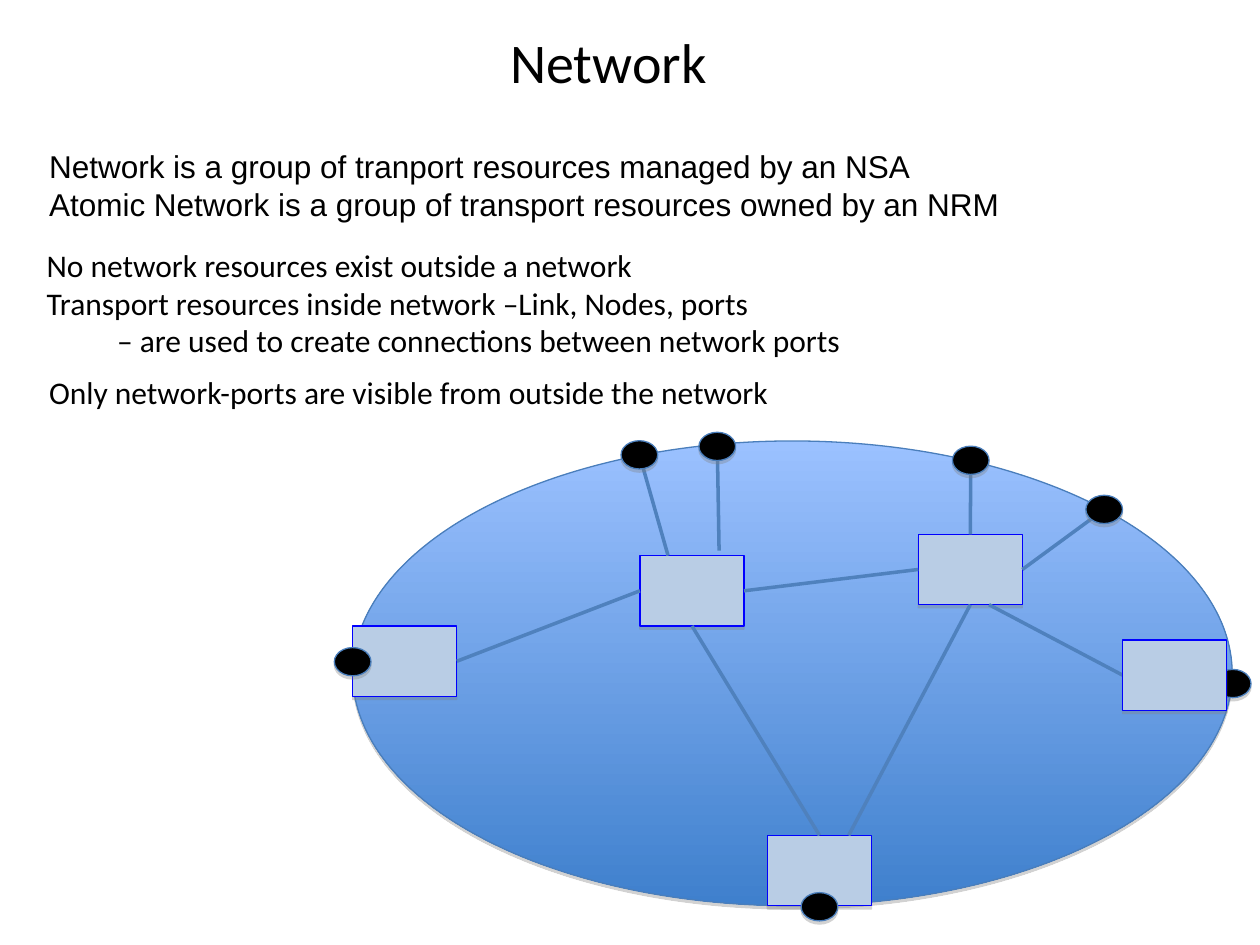
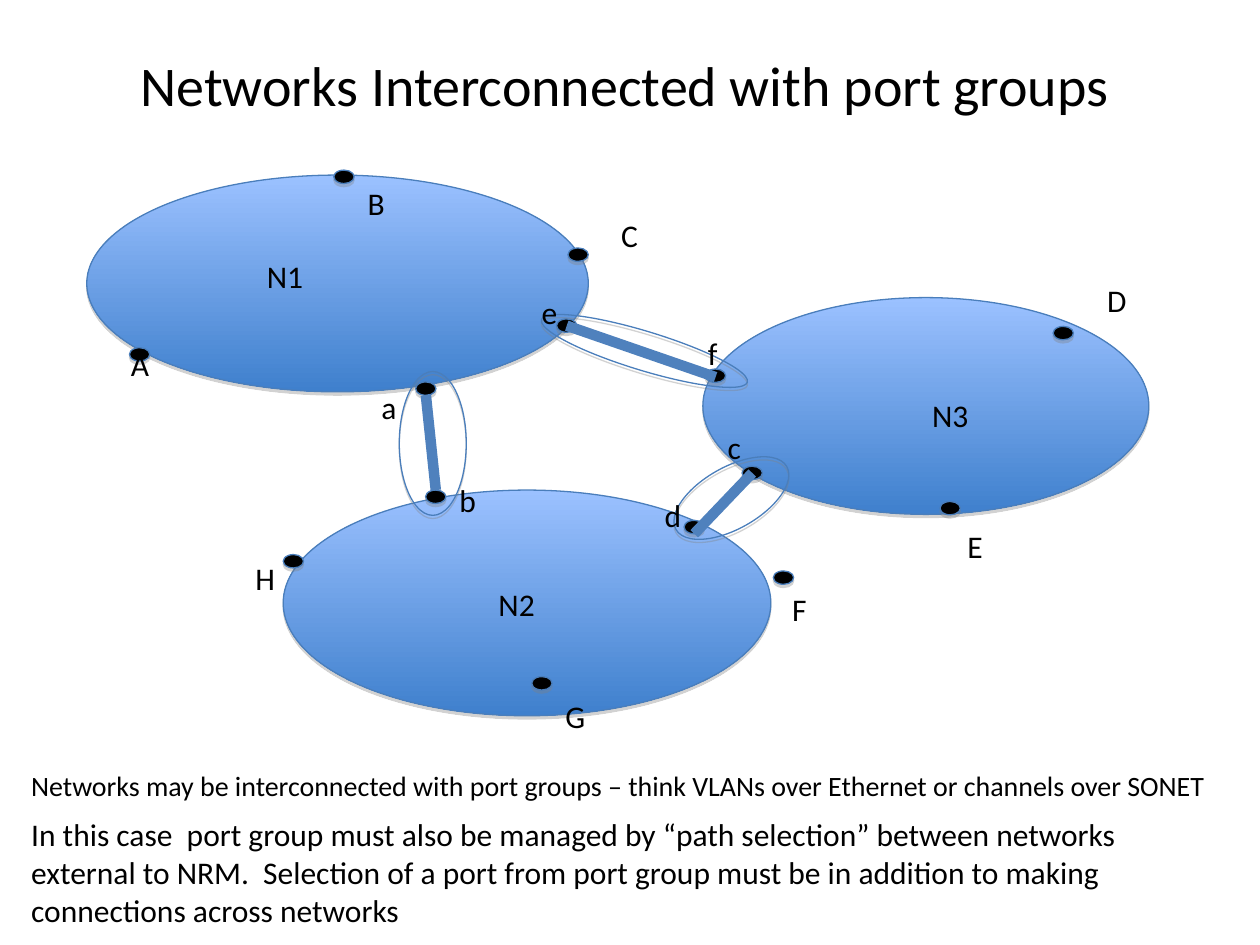
from collections import namedtuple

from lxml import etree
from pptx import Presentation
from pptx.dml.color import RGBColor
from pptx.enum.shapes import MSO_CONNECTOR, MSO_SHAPE
from pptx.enum.text import MSO_ANCHOR, MSO_AUTO_SIZE, PP_ALIGN
from pptx.oxml.ns import qn
from pptx.util import Cm, Pt

COLORS = {
    "text": "000000",
    "port": "000000",
    "outline": "4A7EBB",
    "node": "B9CDE5",
    "node_edge": "0000FF",
    "link": "4F81BD",
    "network_top": "9BC1FF",
    "network_bottom": "3F80CD",
    "shadow": "808080",
}
TITLE_FONT = {"name": "Calibri", "size": Pt(32), "bold": False}
BODY_FONT = {"name": "Calibri", "size": Pt(18)}
TITLE_FRAME = {"auto_size": MSO_AUTO_SIZE.NONE, "vertical_anchor": MSO_ANCHOR.MIDDLE}
BODY_FRAME = {"word_wrap": True, "vertical_anchor": MSO_ANCHOR.TOP}

Box = namedtuple("Box", "left top width height")

NODE_SIZE = (2.1, 1.42)
NODES = {
    "west": (0, 3.73),
    "hub": (5.79, 2.31),
    "south": (8.36, 7.95),
    "north_east": (11.4, 1.88),
    "east": (15.52, 4.01),
}
NODE_LINKS = [
    ("west", (1, 0.5), "hub", (0, 0.5)),
    ("south", (0.5, 0), "hub", (0.5, 1)),
    ("south", (0.78, 0), "north_east", (0.5, 1)),
    ("north_east", (0, 0.5), "hub", (1, 0.5)),
    ("north_east", (0.68, 1), "east", (0, 0.5)),
]
EDGE_PORT_SIZE = (0.74, 0.57)
LINKED_PORTS = [
    ((5.78, 0.28), "hub", (0.27, 0)),
    ((7.35, 0.11), "hub", (0.76, -0.07)),
    ((12.46, 0.39), "north_east", (0.5, 0)),
    ((15.15, 1.38), "north_east", (1, 0.5)),
]
BORDER_PORTS = [(0, 4.45), (17.74, 4.89), (9.41, 9.39)]

NETWORKS = {
    "N2": ((3.96, 6.45, 9.83, 4.55), (8.05, 8.23)),
    "N1": ((0, 0.1, 10.11, 4.37), (3.38, 1.63)),
    "N3": ((12.42, 2.57, 8.99, 4.37), (16.79, 4.42)),
}
PORT_SIZE = (0.41, 0.27)
PORTS = {
    "A": ((0.86, 3.58), (0.64, 3.4)),
    "B": ((4.98, 0), (5.41, 0.15)),
    "C": ((9.7, 1.57), (10.52, 0.81)),
    "D": ((19.48, 3.15), (20.32, 2.11)),
    "E": ((17.2, 6.68), (17.5, 7.06)),
    "F": ((13.84, 8.08), (13.97, 8.33)),
    "G": ((8.97, 10.21), (9.4, 10.49)),
    "H": ((3.96, 7.75), (3.15, 7.72)),
    "a": ((6.63, 4.27), (5.69, 4.27)),
    "b": ((6.83, 6.45), (7.26, 6.15)),
    "c": ((13.21, 5.97), (12.67, 5.08)),
    "d": ((12.04, 7.06), (11.4, 6.45)),
    "e": ((9.47, 3), (8.92, 2.36)),
    "f": ((12.47, 4.01), (12.27, 3.18)),
}
PORT_GROUPS = [
    ((6.3, 4.06, 1.35, 2.9), 0),
    ((11.71, 5.99, 2.57, 1.24), -29.6),
    ((9.07, 3.25, 4.34, 0.79), 16.9),
]
TRUNKS = [("a", 1, "b", 0), ("e", 0.5, "f", 0.6), ("d", 1, "c", 0.5)]


def rgb(name):
    return RGBColor.from_string(COLORS[name])


def apply(target, values):
    for key, value in values.items():
        setattr(target, key, value)


def anchor(corner, size, share):
    return tuple(c + s * f for c, s, f in zip(corner, size, share))


def add_shadow(shape):
    shape.shadow.inherit = False
    effects = shape._element.spPr.find(qn("a:effectLst"))
    outer = etree.SubElement(effects, qn("a:outerShdw"), blurRad="0",
                             dist=str(Pt(1.8)), dir="5400000", rotWithShape="0")
    shade = etree.SubElement(outer, qn("a:srgbClr"), val=COLORS["shadow"])
    etree.SubElement(shade, qn("a:alpha"), val="35000")


def add_part(slide, region, kind, corner, size, fill=None, edge="outline"):
    part = slide.shapes.add_shape(kind, Cm(region.left + corner[0]), Cm(region.top + corner[1]),
                                  Cm(size[0]), Cm(size[1]))
    if fill == "network":
        part.fill.gradient()
        part.fill.gradient_angle = 270
        for stop, name in zip(part.fill.gradient_stops, ("network_top", "network_bottom")):
            stop.color.rgb = rgb(name)
    elif fill:
        part.fill.solid()
        part.fill.fore_color.rgb = rgb(fill)
    else:
        part.fill.background()
    part.line.color.rgb = rgb(edge)
    part.line.width = Pt(0.75)
    add_shadow(part)
    return part


def add_link(slide, region, start, end, weight):
    ends = [Cm(origin + offset) for point in (start, end)
            for origin, offset in zip((region.left, region.top), point)]
    link = slide.shapes.add_connector(MSO_CONNECTOR.STRAIGHT, *ends)
    link.line.color.rgb = rgb("link")
    link.line.width = Pt(weight)
    etree.SubElement(link._element.spPr, qn("a:effectLst"))


def add_text(slide, box, lines, indents=None, **font):
    frame = slide.shapes.add_textbox(*map(Cm, box)).text_frame
    apply(frame, BODY_FRAME)
    for index, line in enumerate(lines):
        paragraph = frame.paragraphs[0] if index == 0 else frame.add_paragraph()
        paragraph.text = line
        if indents and index in indents:
            paragraph._p.get_or_add_pPr().set("marL", str(Cm(indents[index])))
        apply(paragraph.font, {**BODY_FONT, **font})
        paragraph.font.color.rgb = rgb("text")


def add_titled_slide(deck, box, heading, alignment):
    slide = deck.slides.add_slide(deck.slide_layouts[5])
    title = slide.shapes.title
    apply(title, {key: Cm(value) for key, value in box._asdict().items()})
    title.text_frame.text = heading
    apply(title.text_frame, TITLE_FRAME)
    paragraph = title.text_frame.paragraphs[0]
    paragraph.alignment = alignment
    apply(paragraph.font, TITLE_FONT)
    paragraph.font.color.rgb = rgb("text")
    return slide


def draw_network_interior(slide, region):
    def add_node(name):
        add_part(slide, region, MSO_SHAPE.RECTANGLE, NODES[name], NODE_SIZE, "node", "node_edge")

    def node_point(name, share):
        return anchor(NODES[name], NODE_SIZE, share)

    add_part(slide, region, MSO_SHAPE.OVAL, (0, 0), (region.width, region.height), "network")
    for name in NODES:
        if name != "east":
            add_node(name)
    for source, source_share, target, target_share in NODE_LINKS:
        add_link(slide, region, node_point(source, source_share),
                 node_point(target, target_share), 2)
    for center, name, share in LINKED_PORTS:
        add_link(slide, region, node_point(name, share), center, 2)
    for center in [port[0] for port in LINKED_PORTS] + BORDER_PORTS:
        corner = anchor(center, EDGE_PORT_SIZE, (-0.5, -0.5))
        add_part(slide, region, MSO_SHAPE.OVAL, corner, EDGE_PORT_SIZE, "port")
    add_node("east")


def draw_port_group_map(slide, region):
    for bounds, _ in NETWORKS.values():
        add_part(slide, region, MSO_SHAPE.OVAL, bounds[:2], bounds[2:], "network")
    for corner, _ in PORTS.values():
        add_part(slide, region, MSO_SHAPE.OVAL, corner, PORT_SIZE, "port")
    for bounds, tilt in PORT_GROUPS:
        group = add_part(slide, region, MSO_SHAPE.OVAL, bounds[:2], bounds[2:])
        group.rotation = tilt
    for labelled, width in ((NETWORKS, 1.4), (PORTS, 1)):
        for name, (_, (x, y)) in labelled.items():
            add_text(slide, Box(region.left + x, region.top + y, width, 1.02), [name])
    for source, source_drop, target, target_drop in TRUNKS:
        start = anchor(PORTS[source][0], PORT_SIZE, (0.5, source_drop))
        end = anchor(PORTS[target][0], PORT_SIZE, (0.5, target_drop))
        add_link(slide, region, start, end, 6)


def build_network_slide(deck):
    slide = add_titled_slide(deck, Box(10.03, 0.61, 4.67, 1.24), "Network", PP_ALIGN.LEFT)
    draw_network_interior(slide, Box(7.11, 8.89, 17.73, 9.37))
    add_text(slide, Box(0.69, 4.83, 18.67, 2.54), [
        "No network resources exist outside a network",
        "Transport resources inside network –Link, Nodes, ports",
        "– are used to create connections between network ports",
    ], indents={2: 1.42})
    add_text(slide, Box(0.74, 7.39, 15.49, 1.02),
             ["Only network-ports are visible from outside the network"])
    add_text(slide, Box(0.74, 2.84, 21.51, 1.78), [
        "Network is a group of tranport resources managed by an NSA",
        "Atomic Network is a group of transport resources owned by an NRM",
    ], name="Arial")


def build_port_group_slide(deck):
    slide = add_titled_slide(deck, Box(1.17, 0.76, 22.86, 1.88),
                             "Networks Interconnected with port groups", PP_ALIGN.CENTER)
    draw_port_group_map(slide, Box(1.75, 3.43, 21.41, 11.51))
    add_text(slide, Box(0.38, 15.37, 25.02, 0.94), [
        "Networks may be interconnected with port groups – think VLANs over Ethernet"
        " or channels over SONET",
    ], size=Pt(16))
    add_text(slide, Box(0.38, 16.31, 22.58, 2.54), [
        "In this case  port group must also be managed by “path selection” between networks",
        "external to NRM.  Selection of a port from port group must be in addition to making",
        "connections across networks",
    ])


def main():
    deck = Presentation()
    apply(deck, {"slide_width": Cm(25.4), "slide_height": Cm(19.05)})
    build_network_slide(deck)
    build_port_group_slide(deck)
    deck.save("out.pptx")


if __name__ == "__main__":
    main()
